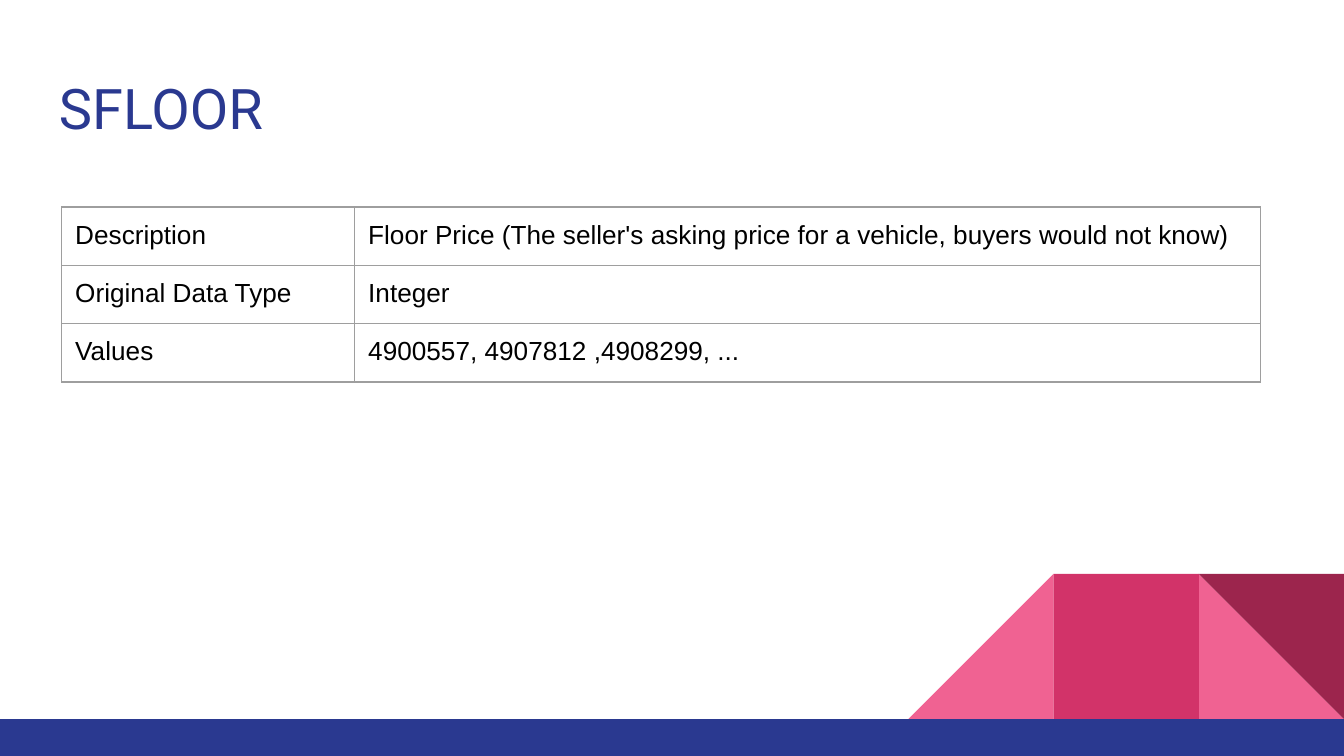
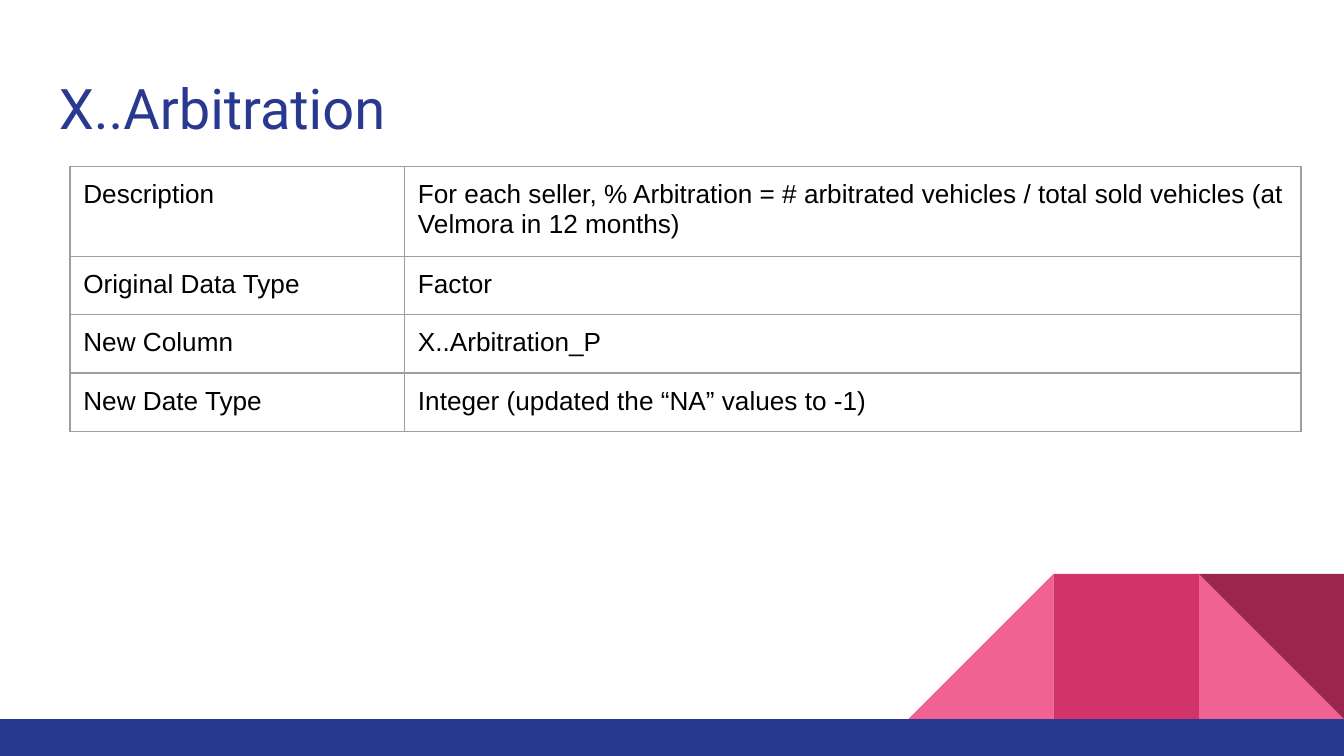
from lxml.etree import SubElement
from pptx import Presentation
from pptx.dml.color import RGBColor
from pptx.enum.shapes import MSO_SHAPE
from pptx.enum.text import MSO_ANCHOR
from pptx.oxml.ns import qn
from pptx.util import Inches, Pt

# Shared look
SLIDE_WIDTH = 10
SLIDE_HEIGHT = SLIDE_WIDTH * 9 / 16
NAVY, PINK, ROSE, WINE = "2A3990", "F06292", "D23369", "9C254D"
WHITE, BLACK, GRID_GRAY = "FFFFFF", "000000", "9E9E9E"
TITLE_FORMAT = {"name": "Roboto", "size": Pt(30), "bold": False}
CELL_FORMAT = {"name": "Arial", "size": Pt(14), "bold": False}
TILE = 1.08
FOOTER_TOP = 5.35
ROW_HEIGHT = 5 / 12  # rows grow to fit their text
INSETS = {f"margin_{side}": Inches(0.1) for side in ("left", "top", "right", "bottom")}


def color(hex_value):
    return RGBColor.from_string(hex_value)


def set_attributes(target, values):
    for name, value in values.items():
        setattr(target, name, value)


def write_text(paragraph, text, font_format, hex_value):
    run = paragraph.add_run()
    run.text = text
    set_attributes(run.font, font_format)
    run.font.color.rgb = color(hex_value)


def add_block(slide, kind, left, top, width, height, hex_value, rotation=0, mirrored=False):
    shape = slide.shapes.add_shape(
        kind, Inches(left), Inches(top), Inches(width), Inches(height))
    shape.shadow.inherit = False
    shape.fill.solid()
    shape.fill.fore_color.rgb = color(hex_value)
    shape.line.fill.background()
    shape.rotation = rotation
    if mirrored:
        shape._element.spPr.xfrm.set("flipH", "1")


def add_footer(slide):
    # Three square tiles end at the right edge, above the navy band
    triangle, rectangle = MSO_SHAPE.RIGHT_TRIANGLE, MSO_SHAPE.RECTANGLE
    top = FOOTER_TOP - TILE
    tiles = [
        (triangle, 1, PINK, 0, False),
        (triangle, 3, PINK, 0, True),
        (rectangle, 2, ROSE, 0, False),
        (triangle, 1, WINE, 180, False),
    ]
    for kind, place, hex_value, rotation, mirrored in tiles:
        left = SLIDE_WIDTH - place * TILE
        add_block(slide, kind, left, top, TILE, TILE, hex_value, rotation, mirrored)
    add_block(slide, rectangle, 0, FOOTER_TOP, SLIDE_WIDTH,
              SLIDE_HEIGHT - FOOTER_TOP, NAVY)


def add_title(slide, text):
    box = slide.shapes.add_textbox(Inches(0.34), Inches(0.45), Inches(9.32), Inches(0.66))
    frame = box.text_frame
    set_attributes(frame, {**INSETS, "word_wrap": True, "vertical_anchor": MSO_ANCHOR.TOP})
    write_text(frame.paragraphs[0], text, TITLE_FORMAT, NAVY)


def add_borders(cell):
    properties = cell._tc.get_or_add_tcPr()
    for side in ("lnL", "lnR", "lnT", "lnB"):
        line = SubElement(properties, qn(f"a:{side}"), w=str(Pt(0.75)))
        fill = SubElement(line, qn("a:solidFill"))
        SubElement(fill, qn("a:srgbClr"), val=GRID_GRAY)


def add_field_table(slide, left, top, height, column_widths, rows):
    frame = slide.shapes.add_table(
        len(rows), len(column_widths), Inches(left), Inches(top),
        Inches(sum(column_widths)), Inches(height))
    table = frame.table
    set_attributes(table, {"first_row": False, "horz_banding": False})
    for column, width in zip(table.columns, column_widths):
        column.width = Inches(width)
    for row, texts in zip(table.rows, rows):
        row.height = Inches(ROW_HEIGHT)
        for cell, text in zip(row.cells, texts):
            set_attributes(cell, INSETS)
            add_borders(cell)
            cell.fill.background()
            write_text(cell.text_frame.paragraphs[0], text, CELL_FORMAT, BLACK)
    frame.height = Inches(height)


def add_field_slide(presentation, title, **table_options):
    slide = presentation.slides.add_slide(presentation.slide_layouts[6])
    slide.background.fill.solid()
    slide.background.fill.fore_color.rgb = color(WHITE)
    add_footer(slide)
    add_title(slide, title)
    add_field_table(slide, **table_options)


def main():
    presentation = Presentation()
    presentation.slide_width = Inches(SLIDE_WIDTH)
    presentation.slide_height = Inches(SLIDE_HEIGHT)

    # Floor price
    add_field_slide(
        presentation, "SFLOOR", left=0.46, top=1.54, height=1.3,
        column_widths=(2.18, 6.74),
        rows=[
            ("Description",
             "Floor Price (The seller's asking price for a vehicle, buyers would not know)"),
            ("Original Data Type", "Integer"),
            ("Values", "4900557, 4907812 ,4908299, ..."),
        ])

    # Arbitration rate
    add_field_slide(
        presentation, "X..Arbitration", left=0.52, top=1.24, height=1.97,
        column_widths=(2.49, 6.67),
        rows=[
            ("Description",
             "For each seller, % Arbitration = # arbitrated vehicles / "
             "total sold vehicles (at Velmora in 12 months)"),
            ("Original Data Type", "Factor"),
            ("New Column", "X..Arbitration_P"),
            ("New Date Type", "Integer (updated the “NA” values to -1)"),
        ])

    presentation.save("out.pptx")


if __name__ == "__main__":
    main()
